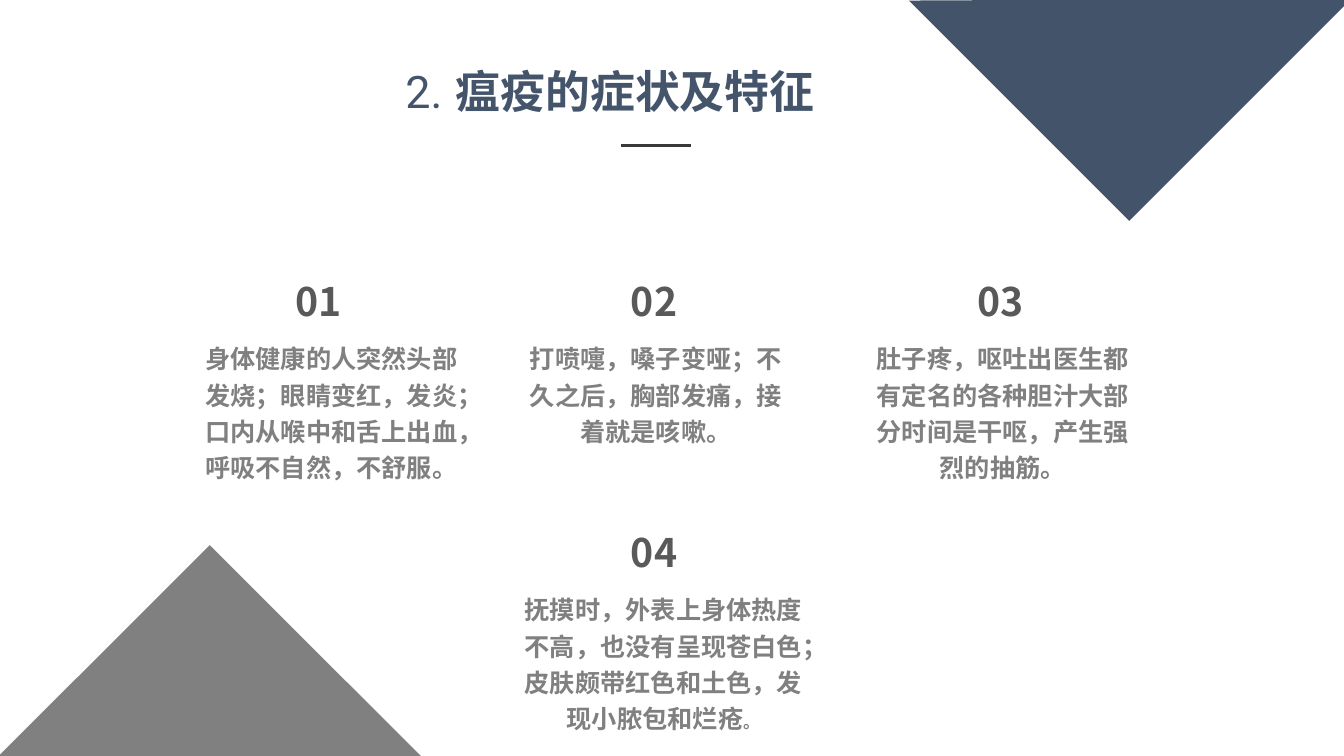
from lxml.etree import SubElement
from pptx import Presentation
from pptx.dml.color import RGBColor
from pptx.enum.shapes import MSO_CONNECTOR, MSO_SHAPE
from pptx.enum.text import MSO_ANCHOR, MSO_AUTO_SIZE, PP_ALIGN
from pptx.oxml.ns import qn
from pptx.util import Inches, Pt

CJK = "Noto Sans CJK SC"
NAVY, GRAY, DARK = "44546A", "808080", "595959"
SYMPTOMS = [
    ("01", 2.83, 2.7, 1.78, 3.01, 1.58,
     "身体健康的人突然头部发烧；眼睛变红，发炎；口内从喉中和舌上出血，呼吸不自然，不舒服。"),
    ("02", 6.16, 2.7, 5, 3.01, 1.22,
     "打喷嚏，嗓子变哑；不久之后，胸部发痛，接着就是咳嗽。"),
    ("03", 9.6, 2.7, 8.44, 3.01, 1.58,
     "肚子疼，呕吐出医生都有定名的各种胆汁大部分时间是干呕，产生强烈的抽筋。"),
    ("04", 6.16, 5.19, 4.95, 3.26, 1.58,
     "抚摸时，外表上身体热度不高，也没有呈现苍白色；皮肤颇带红色和土色，发现小脓包和烂疮"),
]


def rgb(value):
    """Turn a hex string into a colour."""
    return RGBColor.from_string(value)


def add_run(p, text, size, color, bold=True, font=CJK):
    """Add a formatted run to a paragraph."""
    r = p.add_run()
    r.text = text
    r.font.size = Pt(size)
    r.font.bold = bold
    r.font.name = font
    r.font.color.rgb = rgb(color)
    SubElement(r.font._element, qn("a:ea")).set("typeface", CJK)
    return r


def add_text(slide, box, text, size, color, align=PP_ALIGN.LEFT, spacing=1.0,
             inset=(0.1, 0.05), wrap=True):
    """Add a text box and return its paragraph."""
    sp = slide.shapes.add_textbox(*map(Inches, box))
    tf = sp.text_frame
    tf.word_wrap = wrap
    tf.auto_size = MSO_AUTO_SIZE.SHAPE_TO_FIT_TEXT
    tf.margin_left = tf.margin_right = Inches(inset[0])
    tf.margin_top = tf.margin_bottom = Inches(inset[1])
    p = tf.paragraphs[0]
    p.alignment = align
    p.line_spacing = spacing
    add_run(p, text, size, color)
    return p


def add_title(slide):
    """Fill and place the title placeholder."""
    sp = slide.shapes.title
    sp.left, sp.top, sp.width, sp.height = map(Inches, (3.92, 0.58, 4.86, 0.64))
    tf = sp.text_frame
    tf.word_wrap = True
    tf.auto_size = MSO_AUTO_SIZE.NONE
    tf.vertical_anchor = MSO_ANCHOR.MIDDLE
    p = tf.paragraphs[0]
    p.alignment = PP_ALIGN.LEFT
    p.line_spacing = 1.0
    add_run(p, "2.\t", 32, NAVY, bold=False, font="Roboto")
    add_run(p, "瘟疫的症状及特征", 32, NAVY, font="Roboto")


def add_rule(slide, left, right, y):
    """Draw the short line under the title."""
    line = slide.shapes.add_connector(
        MSO_CONNECTOR.STRAIGHT, Inches(left), Inches(y), Inches(right), Inches(y))
    line.line.color.rgb = rgb("3B3838")
    line.line.width = Pt(2.25)
    SubElement(line._element.spPr, qn("a:effectLst"))


def add_corner(slide, box, rotation, color):
    """Add a turned right triangle at a slide corner."""
    sp = slide.shapes.add_shape(MSO_SHAPE.RIGHT_TRIANGLE, *map(Inches, box))
    sp.rotation = rotation
    sp.shadow.inherit = False
    sp.fill.solid()
    sp.fill.fore_color.rgb = rgb(color)
    sp.line.fill.background()


def add_symptom(slide, number, number_left, top, left, width, height, text):
    """Add a number with its description below."""
    add_text(slide, (number_left, top, 0.68, 0.57), number, 28, DARK, wrap=False)
    return add_text(slide, (left, top + 0.57, width, height), text, 18, GRAY,
                    align=PP_ALIGN.CENTER, spacing=1.2, inset=(0.16, 0.08))


def main():
    """Build the slide and save it."""
    prs = Presentation()
    prs.slide_width, prs.slide_height = Inches(13.33), Inches(7.5)
    slide = prs.slides.add_slide(prs.slide_layouts[5])
    add_title(slide)
    add_rule(slide, 6.16, 6.85, 1.44)
    add_corner(slide, (0.6, 6.02, 2.96, 2.96), 135, GRAY)
    add_corner(slide, (9.65, -1.55, 3.12, 3.09), 315, "43536A")
    for symptom in SYMPTOMS:
        p = add_symptom(slide, *symptom)
    add_run(p, "。", 12, GRAY)
    prs.save("out.pptx")


if __name__ == "__main__":
    main()
